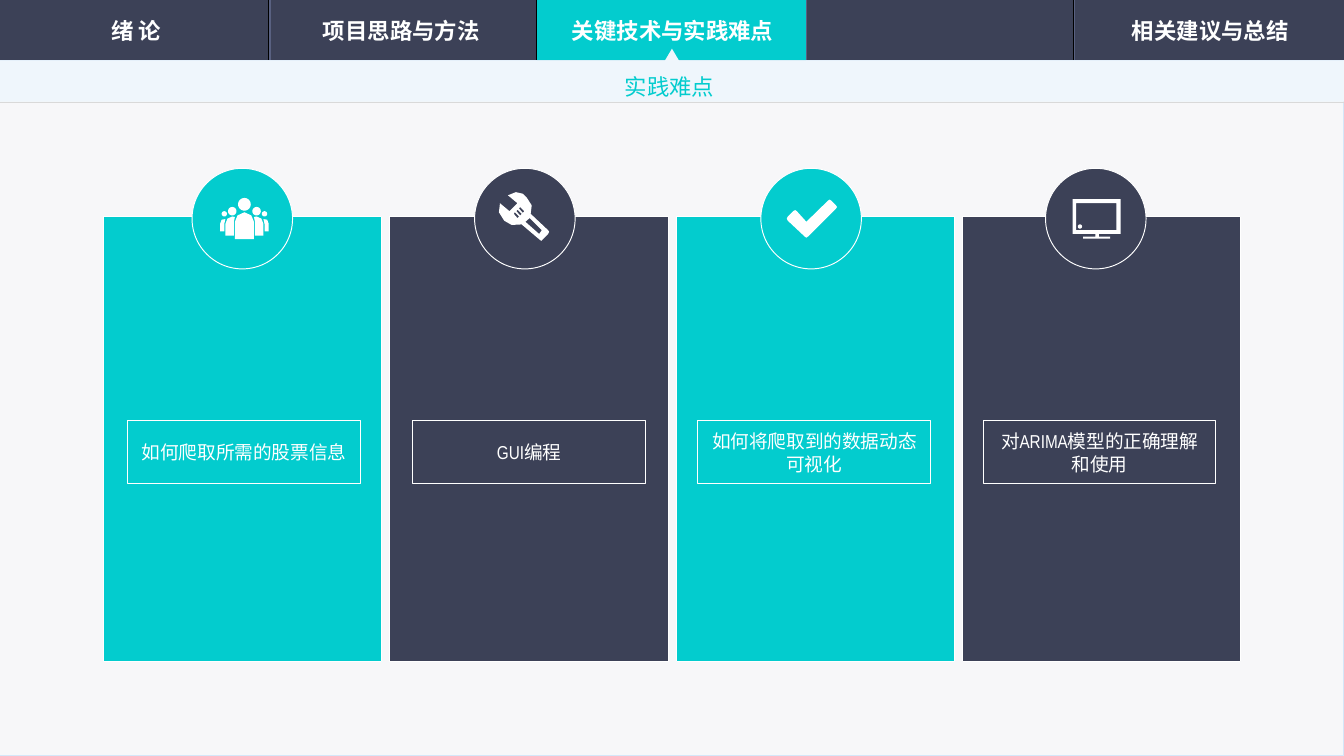
from math import cos, pi, sin

from lxml import etree
from pptx import Presentation
from pptx.dml.color import RGBColor
from pptx.enum.shapes import MSO_CONNECTOR as CONNECTOR, MSO_SHAPE as SHAPE
from pptx.enum.text import MSO_ANCHOR as ANCHOR, PP_ALIGN as ALIGN
from pptx.oxml.ns import qn
from pptx.util import Cm, Pt

TEAL = RGBColor(0x03, 0xCC, 0xCE)
NAVY = RGBColor(0x3C, 0x41, 0x57)
WHITE = RGBColor(0xFF, 0xFF, 0xFF)
PAPER = RGBColor(0xF7, 0xF7, 0xF9)
PAPER_EDGE = RGBColor(0xD4, 0xE7, 0xF9)
BAND = RGBColor(0xEF, 0xF6, 0xFC)
RULE = RGBColor(0xD9, 0xD9, 0xD9)
BLACK = RGBColor(0x00, 0x00, 0x00)
GROOVE = RGBColor(0x59, 0x61, 0x81)
CJK_FONT = "Noto Sans CJK SC"
LABEL_FONT = "Arial Narrow"

presentation = Presentation()
presentation.slide_width = Cm(25.4)
presentation.slide_height = Cm(14.28)
slide = presentation.slides.add_slide(presentation.slide_layouts[6])
shapes = slide.shapes


def add_box(kind, left, top, width, height, fill=None, line=None, text="",
            font=CJK_FONT, size=12, bold=False):
    shape = shapes.add_shape(kind, Cm(left), Cm(top), Cm(width), Cm(height))
    shape.shadow.inherit = False
    for part, color in ((shape.fill, fill), (shape.line.fill, line)):
        if color is None:
            part.background()
        else:
            part.solid()
            part.fore_color.rgb = color
    if line is not None:
        shape.line.width = Pt(0.5)
    if text:
        frame = shape.text_frame
        frame.word_wrap = True
        frame.vertical_anchor = ANCHOR.MIDDLE
        frame.margin_left = frame.margin_right = Cm(0.18)
        paragraph = frame.paragraphs[0]
        paragraph.alignment = ALIGN.CENTER
        run = paragraph.add_run()
        run.text = text
        run.font.name, run.font.size, run.font.bold = font, Pt(size), bold
        run.font.color.rgb = WHITE
        etree.SubElement(run.font._element, qn("a:ea")).set("typeface", CJK_FONT)
    return shape


def add_outline(contours, color, origin_x=0, origin_y=0):
    """Draw closed contours, given in cm from the origin, as one shape."""
    builder = None
    for contour in contours:
        points = [(x * 1000, y * 1000) for x, y in contour]
        if builder is None:
            builder = shapes.build_freeform(*points[0], scale=Cm(1) / 1000)
        else:
            builder.move_to(*points[0])
        builder.add_line_segments(points[1:], close=True)
    shape = builder.convert_to_shape(Cm(origin_x), Cm(origin_y))
    shape.shadow.inherit = False
    shape.fill.solid()
    shape.fill.fore_color.rgb = color
    shape.line.fill.background()


# Header bar and page
add_box(SHAPE.RECTANGLE, 0, 0, 25.4, 1.14, NAVY)
add_box(SHAPE.RECTANGLE, 0, 1.14, 25.4, 13.14, PAPER, PAPER_EDGE)

# Tab separators and the rule under the band: x1, y1, x2, y2, colour, width
rules = []
for index in range(1, 5):
    x = 5.07 * index
    rules += [(x, 0, x, 1.14, BLACK, 0.5), (x + 0.03, 0, x + 0.03, 1.14, GROOVE, 0.75)]
rules.append((0, 1.93, 25.4, 1.93, RULE, 0.5))
for x1, y1, x2, y2, color, width in rules:
    connector = shapes.add_connector(CONNECTOR.STRAIGHT, Cm(x1), Cm(y1), Cm(x2), Cm(y2))
    connector.line.color.rgb = color
    connector.line.width = Pt(width)
    etree.SubElement(connector._element.spPr, qn("a:effectLst"))

# Active tab, and the band with its pointer
add_box(SHAPE.RECTANGLE, 10.15, 0, 5.08, 1.14, TEAL)
add_outline([[(12.7, 0.92), (12.83, 1.14), (25.4, 1.14), (25.4, 1.92),
              (0, 1.92), (0, 1.14), (12.57, 1.14)]], BAND)

# Tab titles
for left, title in ((0.05, "绪 论"), (5.06, "项目思路与方法"),
                    (10.19, "关键技术与实践难点"), (20.35, "相关建议与总结")):
    add_box(SHAPE.RECTANGLE, left, 0.18, 5.05, 0.79, text=title, bold=True)

# Section title
text_box = shapes.add_textbox(Cm(11.56), Cm(1.04), Cm(2.24), Cm(0.94))
frame = text_box.text_frame
frame.word_wrap = False
frame.vertical_anchor = ANCHOR.MIDDLE
paragraph = frame.paragraphs[0]
paragraph.line_spacing = 1.5
run = paragraph.add_run()
run.text = "实践难点"
run.font.name, run.font.size = CJK_FONT, Pt(12)
run.font.color.rgb = TEAL
etree.SubElement(run.font._element, qn("a:ea")).set("typeface", CJK_FONT)

# Icon of a group: bodies mirrored around the middle, then round heads
inner_body = [(0.2, 0.32), (0.2, 0.06), (0.18, -0.03), (0.23, -0.04),
              (0.32, 0), (0.36, 0.1), (0.36, 0.32)]
outer_body = [(0.38, 0.24), (0.38, 0.1), (0.36, 0.01), (0.43, 0.02),
              (0.46, 0.1), (0.46, 0.24)]
people = [[(-0.18, 0.39), (-0.18, 0.06), (-0.13, -0.06), (0, -0.12),
           (0.13, -0.06), (0.18, 0.06), (0.18, 0.39)]]
for side in (-1, 1):
    people += [[(side * x, y) for x, y in body] for body in (inner_body, outer_body)]

# Icon of a wrench: outline, slot in the handle, three slits
wrench = [
    [(0.04, -0.39), (-0.04, -0.47), (-0.17, -0.5), (-0.32, -0.44), (-0.14, -0.29),
     (-0.29, -0.14), (-0.47, -0.29), (-0.49, -0.12), (-0.39, 0.04), (-0.25, 0.12),
     (-0.06, 0.11), (0.27, 0.39), (0.31, 0.42), (0.34, 0.39), (0.44, 0.29),
     (0.46, 0.25), (0.44, 0.22), (0.11, -0.09), (0.13, -0.25)],
    [(0.32, 0.22), (0.27, 0.29), (0.01, 0.06), (0.09, -0.01)],
]
for shift in (0, 0.05, 0.1):
    wrench.append([(x - shift, y + shift) for x, y in
                   ((-0.11, -0.19), (-0.09, -0.22), (-0.01, -0.14), (-0.04, -0.11))])

# Icon of a check mark
check = [[(0.47, -0.19), (-0.06, 0.34), (-0.09, 0.36), (-0.12, 0.34), (-0.44, 0.04),
          (-0.46, 0), (-0.44, -0.04), (-0.34, -0.14), (-0.3, -0.16), (-0.27, -0.14),
          (-0.09, 0.06), (0.32, -0.34), (0.35, -0.36), (0.38, -0.34),
          (0.47, -0.25), (0.49, -0.22)]]

# Icon of a screen: frame, opening, stand and foot
screen = [[(left, top), (right, top), (right, bottom), (left, bottom)]
          for left, top, right, bottom in ((-0.44, -0.37, 0.47, 0.29),
                                           (-0.37, -0.29, 0.39, 0.22),
                                           (-0.01, 0.29, 0.06, 0.34),
                                           (-0.24, 0.34, 0.27, 0.38))]

# Round parts of the icons: x, y, radius
for icon, x, y, radius in ((people, 0, -0.27, 0.12),
                           (people, -0.23, -0.14, 0.08), (people, 0.23, -0.14, 0.08),
                           (people, -0.38, -0.09, 0.05), (people, 0.38, -0.09, 0.05),
                           (screen, -0.3, 0.15, 0.04)):
    icon.append([(x + radius * cos(step * pi / 12), y + radius * sin(step * pi / 12))
                 for step in range(24)])

# Cards: colour, circle centre, icon, icon shift, label
cards = [
    (TEAL, 4.58, people, 0.04, "如何爬取所需的股票信息"),
    (NAVY, 9.92, wrench, 0, "GUI编程"),
    (TEAL, 15.33, check, 0, "如何将爬取到的数据动态可视化"),
    (NAVY, 20.71, screen, 0, "对ARIMA模型的正确理解和使用"),
]
for index, (color, center, icon, shift, label) in enumerate(cards):
    add_box(SHAPE.RECTANGLE, 1.96 + 5.41 * index, 4.09, 5.26, 8.41, color, WHITE)
    add_box(SHAPE.OVAL, center - 0.95, 3.18, 1.9, 1.9, color, WHITE)
    add_outline(icon, WHITE, center + shift, 4.13)
    add_box(SHAPE.RECTANGLE, 2.41 + 5.39 * index, 7.95, 4.4, 1.19, color, WHITE,
            label, LABEL_FONT, 10)

presentation.save("out.pptx")
